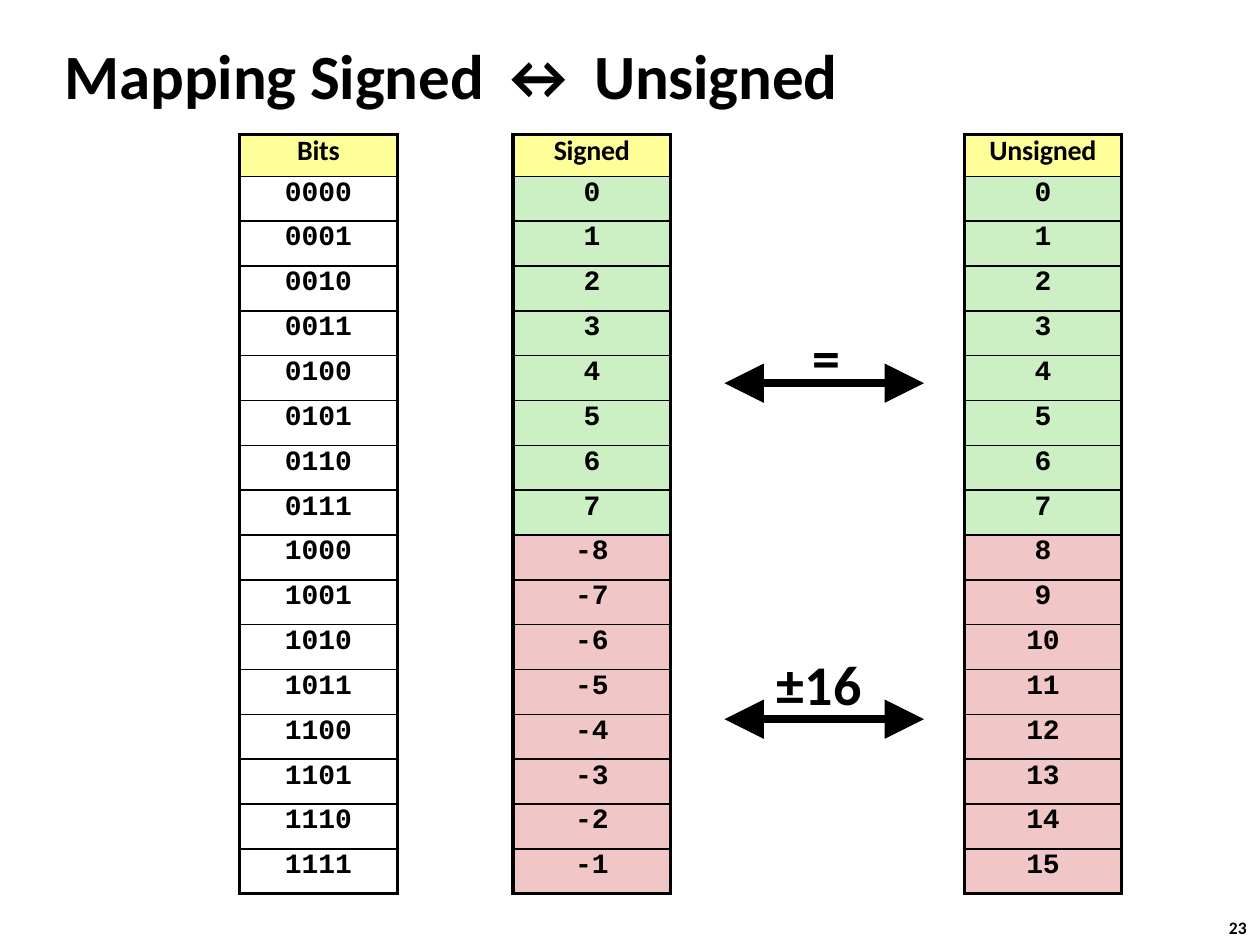
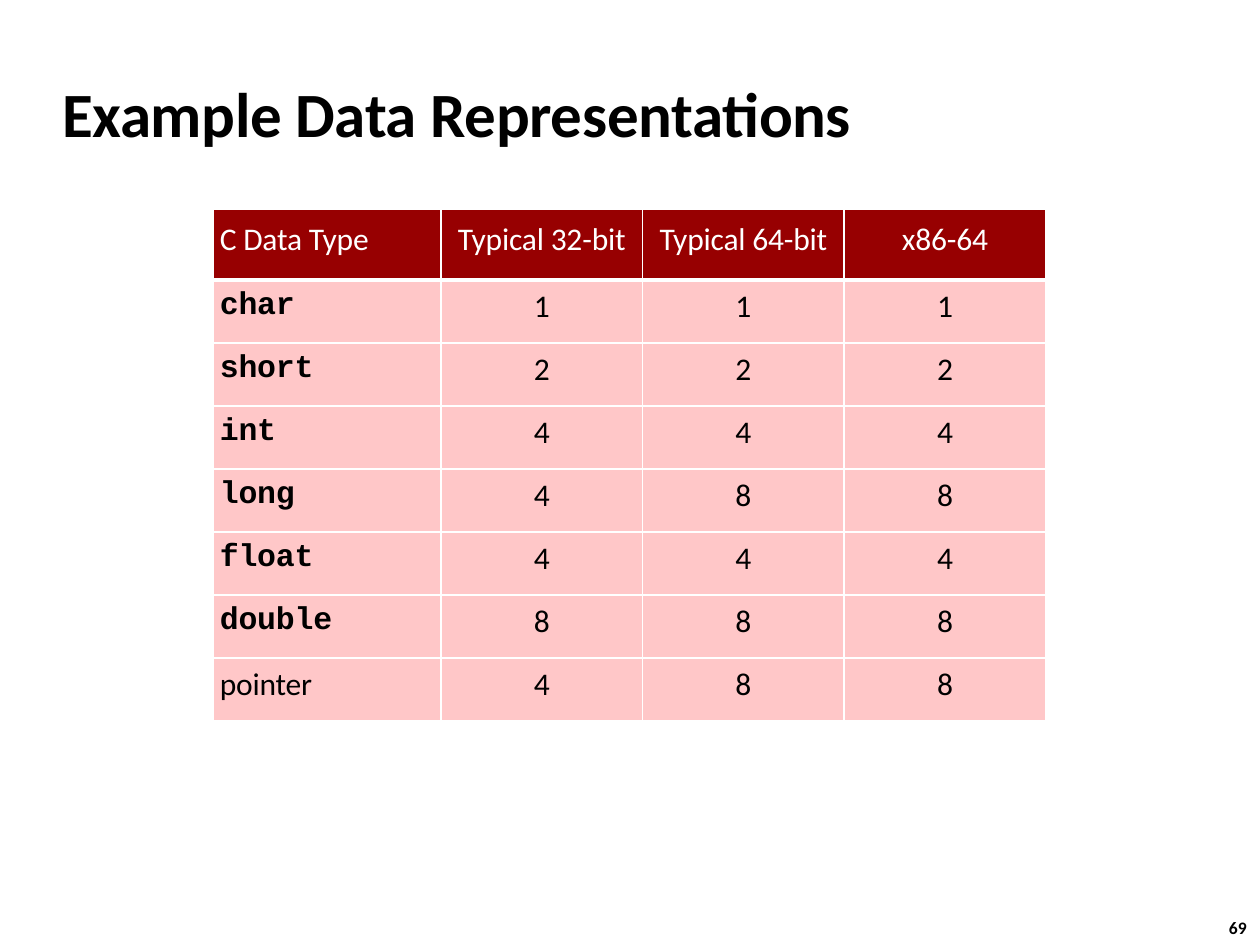
from lxml import etree
from pptx import Presentation
from pptx.dml.color import RGBColor
from pptx.enum.shapes import MSO_CONNECTOR
from pptx.enum.text import MSO_ANCHOR, MSO_AUTO_SIZE, PP_ALIGN
from pptx.oxml.ns import qn
from pptx.util import Pt

LEFT, CENTER = PP_ALIGN.LEFT, PP_ALIGN.CENTER
TOP = MSO_ANCHOR.TOP
NO_AUTOFIT = MSO_AUTO_SIZE.NONE
STRAIGHT = MSO_CONNECTOR.STRAIGHT
TITLE_ONLY = 5

SANS, MONO = "Calibri", "Courier New"
COLORS = {
    "black": "000000",
    "white": "FFFFFF",
    "yellow": "FFFF99",
    "green": "CCF0C4",
    "red": "F0C6C6",
    "header": "970001",
    "body": "FFC7C8",
}


def rgb(name):
    return RGBColor.from_string(COLORS[name])


class Deck:
    """Holds the shared style and the current slide."""

    def __init__(self):
        self.deck = Presentation()
        self.deck.slide_width, self.deck.slide_height = Pt(720), Pt(540)
        self.page = None

    def new_page(self, title, number, left, top, tracking):
        self.page = self.deck.slides.add_slide(self.deck.slide_layouts[TITLE_ONLY])
        box = self.page.shapes.title
        box.left, box.top, box.width, box.height = Pt(left), Pt(top), Pt(460), Pt(45)
        self.fill_frame(box.text_frame, title, 36, bold=True, tracking=tracking,
                        insets=(1, 1))
        self.text(str(number), 700.5, 525.6, 16, 12, 10, insets=(1.8, 0),
                  line_height=10.5)

    def style(self, para, text, size, font=SANS, color="black", bold=False,
              align=LEFT, tracking=0, line_height=None):
        para.add_run().text = text
        para.alignment = align
        if line_height:
            para.line_spacing = Pt(line_height)
        para.font.name, para.font.size, para.font.bold = font, Pt(size), bold
        para.font.color.rgb = rgb(color)
        if tracking:
            para.font._element.set("spc", str(round(tracking * 100)))

    def fill_frame(self, frame, text, size, insets=(0, 1), **look):
        frame.word_wrap = True
        frame.auto_size = NO_AUTOFIT
        frame.vertical_anchor = TOP
        frame.margin_left, frame.margin_top = map(Pt, insets)
        frame.margin_right = frame.margin_bottom = 0
        self.style(frame.paragraphs[0], text, size, **look)

    def text(self, text, left, top, width, height, size, **look):
        box = self.page.shapes.add_textbox(Pt(left), Pt(top), Pt(width), Pt(height))
        self.fill_frame(box.text_frame, text, size, bold=True, **look)

    def table(self, left, top, widths, heights):
        frame = self.page.shapes.add_table(
            len(heights), len(widths), Pt(left), Pt(top),
            Pt(sum(widths)), Pt(sum(heights)))
        table = frame.table
        table.first_row = table.horz_banding = False
        for column, width in zip(table.columns, widths):
            column.width = Pt(width)
        for row, height in zip(table.rows, heights):
            row.height = Pt(height)
        return table

    def cell(self, cell, text, size, fill, line, borders, insets=(0, 0), **look):
        """Borders are the widths left, right, top and bottom."""
        cell.margin_left, cell.margin_top = map(Pt, insets)
        cell.margin_right = cell.margin_bottom = 0
        cell.vertical_anchor = TOP
        properties = cell._tc.get_or_add_tcPr()
        for side, width in zip("LRTB", borders):
            edge = etree.SubElement(properties, qn(f"a:ln{side}"), w=str(Pt(width)))
            solid = etree.SubElement(edge, qn("a:solidFill"))
            etree.SubElement(solid, qn("a:srgbClr"), val=COLORS[line])
        cell.fill.solid()
        cell.fill.fore_color.rgb = rgb(fill)
        self.style(cell.text_frame.paragraphs[0], text, size, **look)

    def triangle(self, tip, base, middle, half=11.25):
        builder = self.page.shapes.build_freeform(Pt(tip), Pt(middle))
        builder.add_line_segments([(Pt(base), Pt(middle - half)),
                                   (Pt(base), Pt(middle + half))], close=True)
        shape = builder.convert_to_shape()
        shape.shadow.inherit = False
        shape.fill.solid()
        shape.fill.fore_color.rgb = rgb("black")
        shape.line.fill.background()

    def double_arrow(self, left, right, middle, head=22.5):
        shaft = self.page.shapes.add_connector(
            STRAIGHT, Pt(left + head - 1.5), Pt(middle),
            Pt(right - head + 1.5), Pt(middle))
        shaft.line.width = Pt(4.5)
        shaft.line.color.rgb = rgb("black")
        etree.SubElement(shaft._element.spPr, qn("a:effectLst"))
        self.triangle(left, left + head, middle)
        self.triangle(right, right - head, middle)


def number_column(deck, heading, left, values, fills):
    table = deck.table(left, 77, [90], [23.75] + [25.65] * len(values))
    deck.cell(table.cell(0, 0), heading, 16, "yellow", "black",
              (2.25, 2.25, 2.25, 1), bold=True, align=CENTER, tracking=-0.1,
              line_height=18.8)
    for row, (value, fill) in enumerate(zip(values, fills), start=1):
        bottom = 2.25 if row == len(values) else 1
        deck.cell(table.cell(row, 0), str(value), 16, fill, "black",
                  (2.25, 2.25, 1, bottom), insets=(0, 0.9), font=MONO,
                  bold=True, align=CENTER)


def mapping_page(deck):
    deck.new_page("Mapping Signed ↔ Unsigned", 23, 36, 20, -0.1)

    # Columns of four-bit patterns and their two readings
    codes = range(16)
    halves = ["green"] * 8 + ["red"] * 8
    signed = [code if code < 8 else code - 16 for code in codes]
    number_column(deck, "Signed", 293.25, signed, halves)
    number_column(deck, "Unsigned", 551, codes, halves)
    number_column(deck, "Bits", 137, [f"{code:04b}" for code in codes],
                  ["white"] * 16)

    # Relations between the readings
    for label, left, top, width, middle in [("=", 464.5, 183, 20, 219),
                                            ("±16", 444, 370, 54, 411)]:
        deck.double_arrow(414, 528, middle)
        deck.text(label, left, top, width, 40, 32)


def sizes_page(deck):
    deck.new_page("Example Data Representations", 69, 34.5, 41.75, -0.2)

    # Bytes per type on each platform
    headings = ["C Data Type", "Typical 32-bit", "Typical 64-bit", "x86-64"]
    sizes = {
        "char": (1, 1, 1),
        "short": (2, 2, 2),
        "int": (4, 4, 4),
        "long": (4, 8, 8),
        "float": (4, 4, 4),
        "double": (8, 8, 8),
        "pointer": (4, 8, 8),
    }
    table = deck.table(122, 119.75, [130] + [115.2] * 3, [40.3] + [36] * len(sizes))
    for column, heading in enumerate(headings):
        deck.cell(table.cell(0, column), heading, 18, "header", "white",
                  (1, 1, 1, 3), insets=(0 if column else 3.6, 6.5),
                  color="white", align=CENTER if column else LEFT, tracking=-0.1)
    for row, (kind, counts) in enumerate(sizes.items(), start=1):
        borders = (1, 1, 3 if row == 1 else 1, 1)
        keyword = kind != "pointer"
        deck.cell(table.cell(row, 0), kind, 18, "body", "white", borders,
                  insets=(3.6, 4.8 if keyword else 4.5),
                  font=MONO if keyword else SANS, bold=keyword, tracking=-0.1)
        for column, count in enumerate(counts, start=1):
            deck.cell(table.cell(row, column), str(count), 18, "body", "white",
                      borders, insets=(0, 4.5), align=CENTER)


def main():
    deck = Deck()
    mapping_page(deck)
    sizes_page(deck)
    deck.deck.save("out.pptx")


if __name__ == "__main__":
    main()
